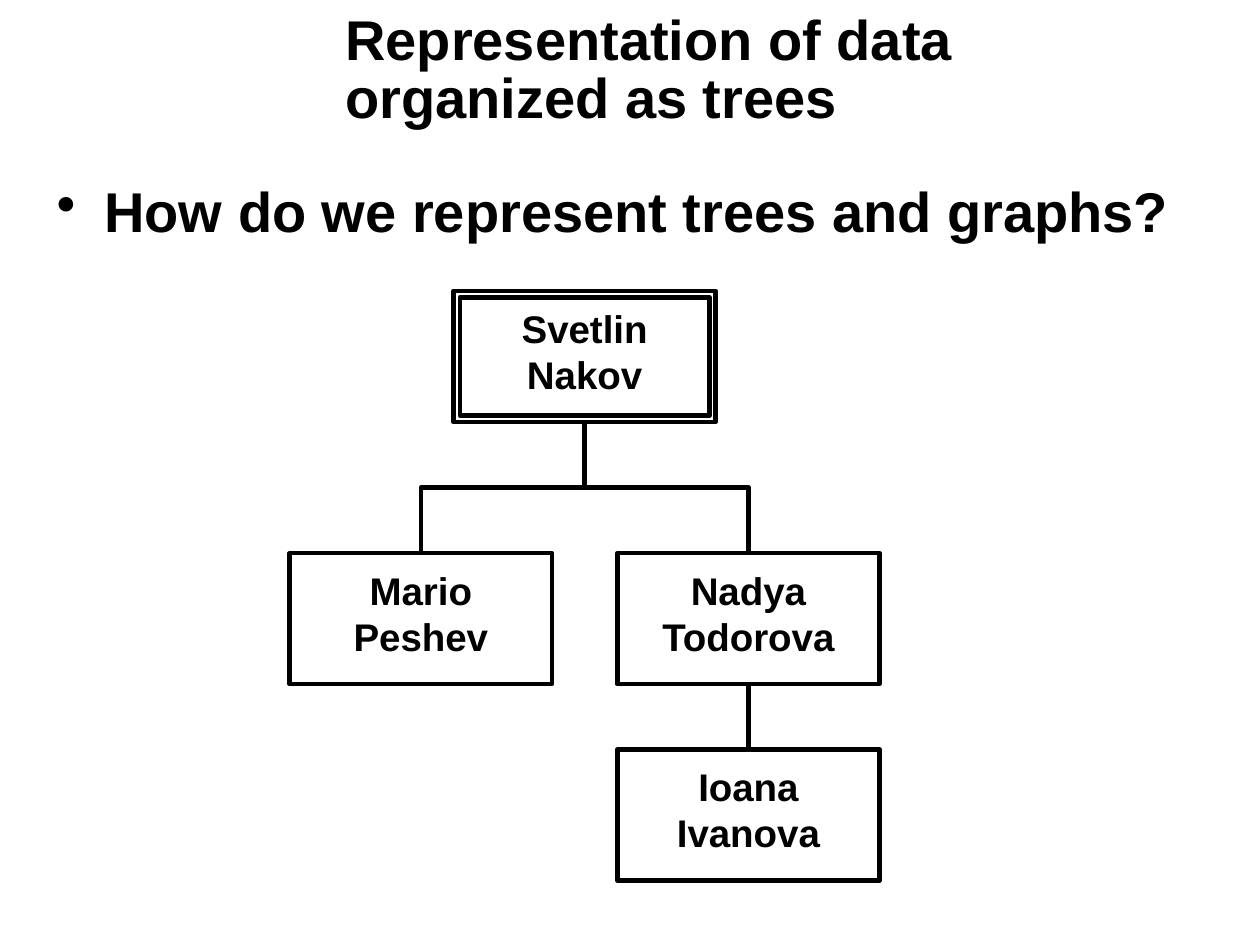
"""Build a slide that shows people organized as a tree."""
from lxml import etree
from pptx import Presentation
from pptx import util as u
from pptx.dml.color import RGBColor
from pptx.enum import shapes, text
from pptx.oxml import ns

TITLE = "Representation of data organized as trees"
QUESTION = "How do we represent trees and graphs?"
PEOPLE = {
    "root": {"name": ("Svetlin", "Nakov"), "column": 2.5, "row": 0},
    "left": {"name": ("Mario", "Peshev"), "column": 0, "row": 4},
    "right": {"name": ("Nadya", "Todorova"), "column": 5, "row": 4},
    "leaf": {"name": ("Ioana", "Ivanova"), "column": 5, "row": 7},
}
ELBOWS = [("root", "left"), ("root", "right")]
STRAIGHTS = [("right", "leaf")]

THEME = {
    "ink": RGBColor(0, 0, 0),
    "paper": RGBColor(255, 255, 255),
    "font": "Arial",
    "heading": u.Pt(32),
    "label": u.Pt(22),
    "line": u.Pt(2.64),
}
UNIT = u.Inches(0.52)
TREE_LEFT, TREE_TOP = u.Inches(2.3), u.Inches(2.31)
BOX_WIDTH, BOX_HEIGHT = 4 * UNIT, 2 * UNIT
RING_GAP = u.Inches(0.05)
INDENT = u.Inches(0.38)


def apply(target, values):
    for name, value in values.items():
        setattr(target, name, value)


def format_paragraph(paragraph, size, spacing, alignment):
    apply(paragraph, {"line_spacing": spacing, "alignment": alignment, "space_before": u.Pt(0)})
    apply(paragraph.font, {"name": THEME["font"], "size": size, "bold": True})
    paragraph.font.color.rgb = THEME["ink"]


def set_frame(frame, anchor, margins):
    apply(frame, {"word_wrap": True, "auto_size": text.MSO_AUTO_SIZE.NONE, "vertical_anchor": anchor})
    sides = ("margin_left", "margin_top", "margin_right", "margin_bottom")
    apply(frame, dict(zip(sides, map(u.Inches, margins))))


def draw_outline(shape):
    shape.line.color.rgb = THEME["ink"]
    shape.line.width = THEME["line"]


def add_box(slide, left, top, width, height, filled):
    box = slide.shapes.add_shape(shapes.MSO_SHAPE.RECTANGLE, left, top, width, height)
    box.shadow.inherit = False
    if filled:
        box.fill.solid()
        box.fill.fore_color.rgb = THEME["paper"]
    else:
        box.fill.background()
    draw_outline(box)
    return box


def add_person(slide, person):
    left = int(TREE_LEFT + person["column"] * UNIT)
    top = TREE_TOP + person["row"] * UNIT
    box = add_box(slide, left, top, BOX_WIDTH, BOX_HEIGHT, True)
    frame = box.text_frame
    set_frame(frame, text.MSO_ANCHOR.TOP, (0, 0.11, 0, 0))
    frame.text = "\n".join(person["name"])
    for paragraph in frame.paragraphs:
        format_paragraph(paragraph, THEME["label"], u.Pt(26.3), text.PP_ALIGN.CENTER)
    return box


def add_elbow(slide, parent, child):
    start_x, start_y = parent.left + parent.width // 2, parent.top + parent.height
    end_x = child.left + child.width // 2
    middle_y = (start_y + child.top) // 2
    builder = slide.shapes.build_freeform(start_x, start_y)
    builder.add_line_segments([(start_x, middle_y), (end_x, middle_y), (end_x, child.top)], close=False)
    elbow = builder.convert_to_shape()
    elbow.shadow.inherit = False
    elbow.fill.background()
    draw_outline(elbow)


def add_straight(slide, parent, child):
    connector = slide.shapes.add_connector(shapes.MSO_CONNECTOR.STRAIGHT, 0, 0, 0, 0)
    connector.begin_connect(parent, 2)
    connector.end_connect(child, 0)
    draw_outline(connector)
    etree.SubElement(connector._element.spPr, ns.qn("a:effectLst"))


def add_title(slide):
    title = slide.shapes.title
    apply(title, {"left": u.Inches(2.64), "top": u.Inches(0.08),
                  "width": u.Inches(7.17), "height": u.Inches(0.99)})
    title.text_frame.text = TITLE
    set_frame(title.text_frame, text.MSO_ANCHOR.MIDDLE, (0.1, 0.05, 0.1, 0.05))
    format_paragraph(title.text_frame.paragraphs[0], THEME["heading"], 0.85, text.PP_ALIGN.LEFT)


def add_question(slide):
    body = slide.shapes.add_textbox(*map(u.Inches, (0.35, 1.39, 9.29, 5.83)))
    set_frame(body.text_frame, text.MSO_ANCHOR.TOP, (0.1, 0.05, 0.1, 0.05))
    body.text_frame.text = QUESTION
    paragraph = body.text_frame.paragraphs[0]
    properties = paragraph._p.get_or_add_pPr()
    properties.set("marL", str(INDENT))
    properties.set("indent", str(-INDENT))
    etree.SubElement(properties, ns.qn("a:buChar"), char="•")
    format_paragraph(paragraph, THEME["heading"], 0.95, text.PP_ALIGN.LEFT)


def main():
    presentation = Presentation()
    apply(presentation, {"slide_width": u.Inches(10), "slide_height": u.Inches(7.5)})
    slide = presentation.slides.add_slide(presentation.slide_layouts[5])
    add_title(slide)
    add_question(slide)
    boxes = {key: add_person(slide, person) for key, person in PEOPLE.items()}
    root = boxes["root"]
    add_box(slide, root.left + RING_GAP, root.top + RING_GAP,
            root.width - 2 * RING_GAP, root.height - 2 * RING_GAP, False)
    for parent, child in ELBOWS:
        add_elbow(slide, boxes[parent], boxes[child])
    for parent, child in STRAIGHTS:
        add_straight(slide, boxes[parent], boxes[child])
    presentation.save("out.pptx")


if __name__ == "__main__":
    main()
